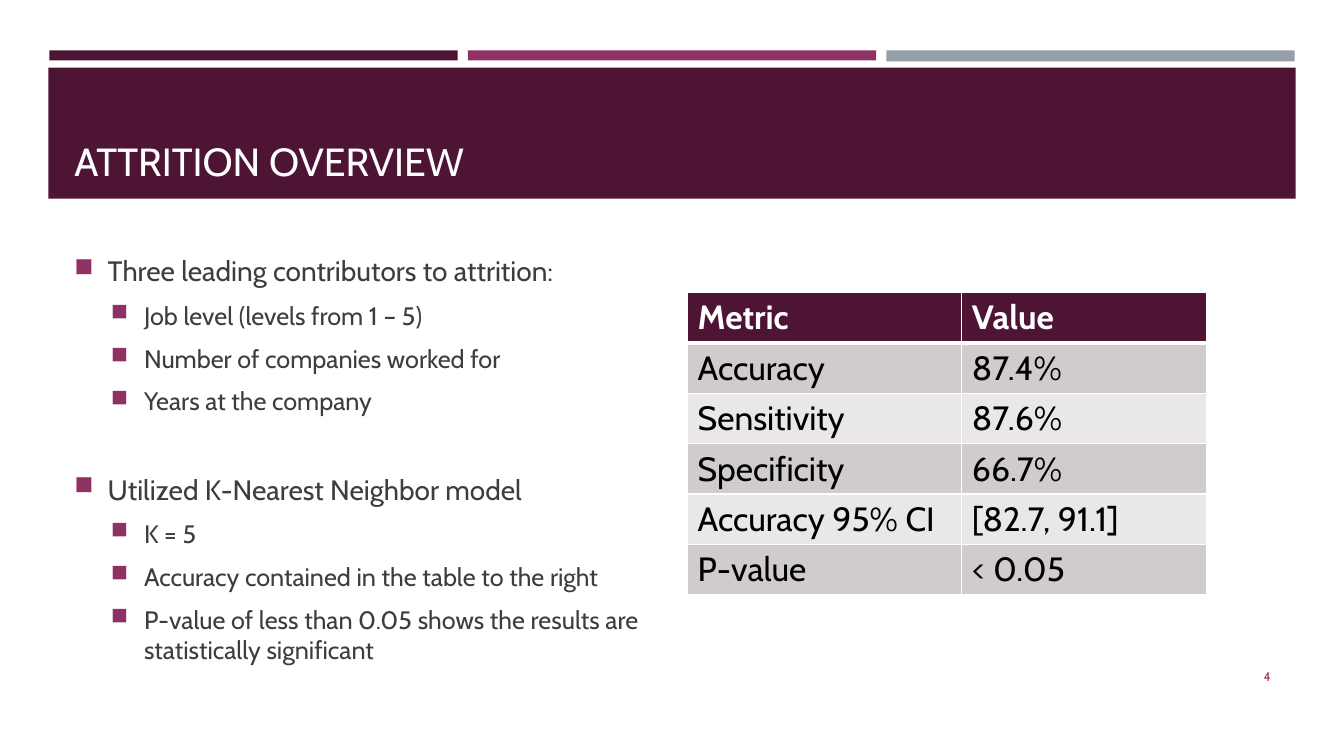
"""Build the attrition overview slide."""
from lxml import etree
from pptx import Presentation
from pptx.dml.color import RGBColor
from pptx.enum import shapes, text
from pptx.oxml import ns
from pptx.util import Inches, Pt

HUES = {"plum": "4D1434", "berry": "903163", "steel": "969FA7", "white": "FFFFFF",
        "ink": "3D3D3D", "black": "000000", "dark": "D0CCCE", "light": "E9E7E8"}
BARS = [("plum", 0.49, 0.5, 4.05, 0.1), ("berry", 4.64, 0.5, 4.05, 0.1),
        ("steel", 8.79, 0.5, 4.05, 0.11), ("plum", 0.48, 0.67, 12.37, 1.3)]
POINTS = [
    ("Three leading contributors to attrition:",
     ["Job level (levels from 1 – 5)", "Number of companies worked for",
      "Years at the company"]),
    ("Utilized K-Nearest Neighbor model",
     ["K = 5", "Accuracy contained in the table to the right",
      "P-value of less than 0.05 shows the results are statistically significant"]),
]
ROWS = [("Metric", "Value"), ("Accuracy", "87.4%"), ("Sensitivity", "87.6%"),
        ("Specificity", "66.7%"), ("Accuracy 95% CI", "[82.7, 91.1]"),
        ("P-value", "< 0.05")]


def rgb(hue):
    return RGBColor.from_string(HUES[hue])


def write(para, words, size, hue, **form):
    run = para.add_run()
    run.text = words
    run.font.color.rgb = rgb(hue)
    for key, value in {"name": "Cabin", "size": Pt(size), **form}.items():
        setattr(run.font, key, value)


def add_bar(slide, hue, *box):
    bar = slide.shapes.add_shape(shapes.MSO_SHAPE.RECTANGLE, *map(Inches, box))
    bar.shadow.inherit = False
    bar.fill.solid()
    bar.fill.fore_color.rgb = rgb(hue)
    bar.line.fill.background()


def add_box(slide, anchor, *box):
    frame = slide.shapes.add_textbox(*map(Inches, box)).text_frame
    frame.word_wrap = True
    frame.vertical_anchor = anchor
    return frame


def add_point(frame, words, level, before):
    first = not frame.paragraphs[0].runs
    para = frame.paragraphs[0] if first else frame.add_paragraph()
    form = {"level": level, "space_before": Pt(before), "space_after": Pt(6)}
    for key, value in form.items():
        setattr(para, key, value)
    props = para._p.get_or_add_pPr()
    props.set("marL", str(Inches((0.33, 0.69)[level])))
    props.set("indent", str(Inches(-0.33)))
    tint = etree.SubElement(props, ns.qn("a:buClr"))
    etree.SubElement(tint, ns.qn("a:srgbClr"), val=HUES["berry"])
    etree.SubElement(props, ns.qn("a:buSzPct"), val="92000")
    etree.SubElement(props, ns.qn("a:buChar"), char="■")
    write(para, words, (20, 18)[level], "ink")


def add_points(slide):
    frame = add_box(slide, text.MSO_ANCHOR.MIDDLE, 0.64, 2.38, 6.19, 4.35)
    for group, (head, items) in enumerate(POINTS):
        add_point(frame, head, 0, 34 if group else 3)
        for item in items:
            add_point(frame, item, 1, 3)


def edge_cell(cell, top, base):
    props = cell._tc.get_or_add_tcPr()
    widths = {"L": 1, "R": 1, "T": top, "B": base}
    for place, (side, width) in enumerate(widths.items()):
        line = etree.Element(ns.qn(f"a:ln{side}"), w=str(Pt(width)))
        fill = etree.SubElement(line, ns.qn("a:solidFill"))
        etree.SubElement(fill, ns.qn("a:srgbClr"), val=HUES["white"])
        props.insert(place, line)


def add_grid(slide):
    box = map(Inches, (6.82, 2.9, 5.15, 3))
    grid = slide.shapes.add_table(len(ROWS), 2, *box).table
    for col, width in zip(grid.columns, (2.72, 2.43)):
        col.width = Inches(width)
    for i, row in enumerate(ROWS):
        head = i == 0
        hue = "plum" if head else ("light", "dark")[i % 2]
        for j, words in enumerate(row):
            cell = grid.cell(i, j)
            cell.fill.solid()
            cell.fill.fore_color.rgb = rgb(hue)
            edge_cell(cell, 3 if i == 1 else 1, 3 if head else 1)
            write(cell.text_frame.paragraphs[0], words, 24,
                  "white" if head else "black", bold=head)


def main():
    deck = Presentation()
    deck.slide_width, deck.slide_height = Inches(13.33), Inches(7.5)
    slide = deck.slides.add_slide(deck.slide_layouts[6])
    for bar in BARS:
        add_bar(slide, *bar)
    title = add_box(slide, text.MSO_ANCHOR.BOTTOM, 0.64, 0.77, 12.06, 1.11)
    write(title.paragraphs[0], "ATTRITION OVERVIEW", 28, "white")
    add_points(slide)
    add_grid(slide)
    page = add_box(slide, text.MSO_ANCHOR.MIDDLE, 11.55, 6.51, 1.15, 0.4).paragraphs[0]
    page.alignment = text.PP_ALIGN.RIGHT
    write(page, "4", 9, "berry")
    deck.save("out.pptx")


if __name__ == "__main__":
    main()
